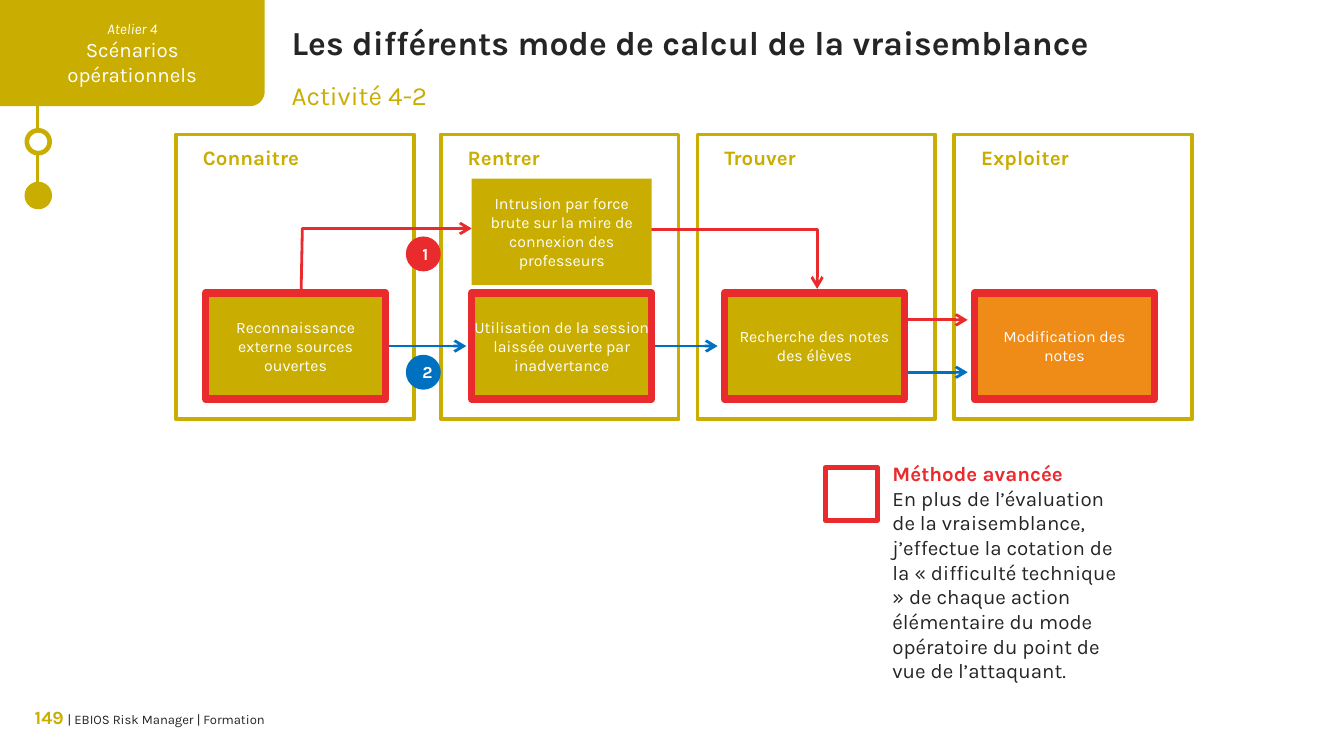
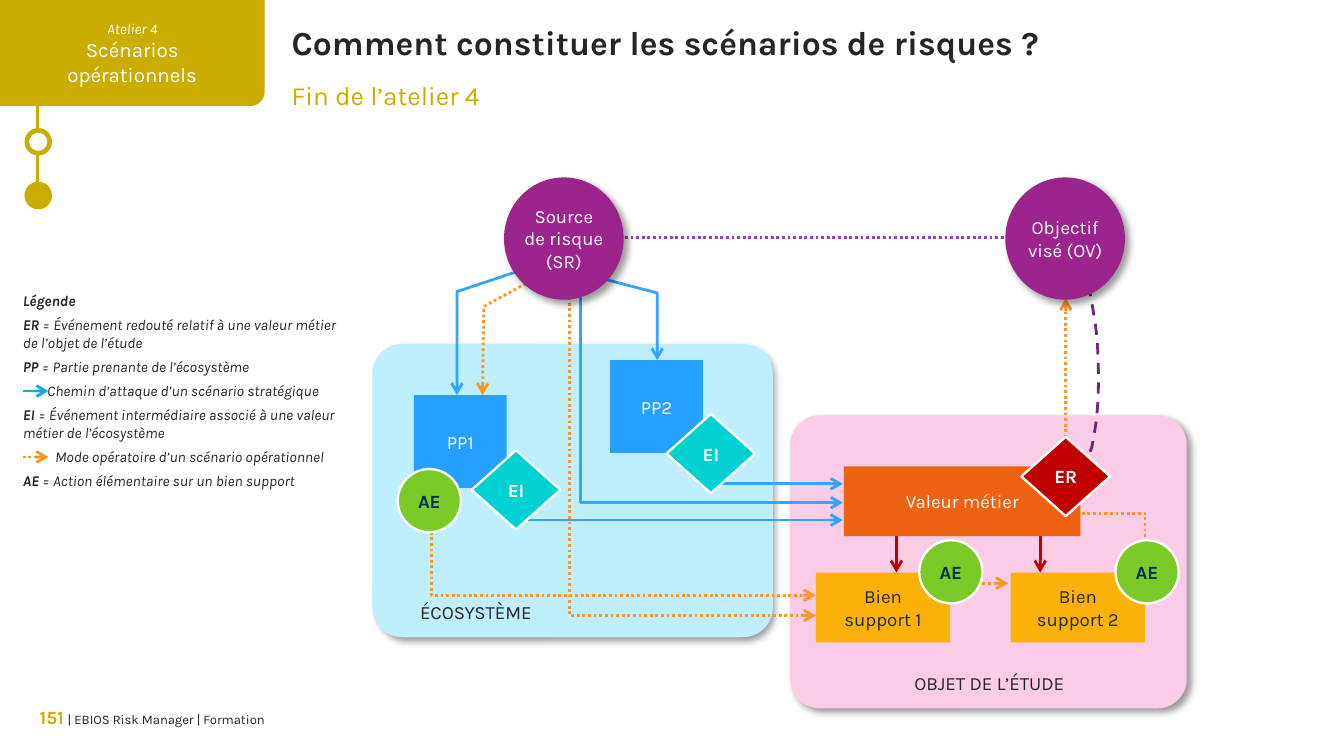
from math import cos, radians, sin

from lxml import etree
from pptx import Presentation
from pptx import util as u
from pptx.dml.color import RGBColor
from pptx.enum import dml, shapes, text
from pptx.oxml.ns import qn

COLORS = {
    "olive": "C9AD00", "white": "FFFFFF", "ink": "252525", "red": "EA2B2E",
    "blue": "0070C0", "orange": "EF8B17", "ice": "BFEEFF", "magenta": "E6007E",
    "amber": "FBB208", "rust": "EE6213", "crimson": "C00000", "plum": "9C258C",
    "violet": "923ED2", "aubergine": "6B2A71", "sky": "27A1FF", "route": "32A5FF",
    "cyan": "00B0F0", "teal": "00D1D2", "green": "7CCA28", "navy": "05314E",
    "tangerine": "FC9822", "black": "000000",
}
S = shapes.MSO_SHAPE
DOTS, DASHES = dml.MSO_LINE.ROUND_DOT, dml.MSO_LINE.DASH
LEFT, CENTER, RIGHT = text.PP_ALIGN.LEFT, text.PP_ALIGN.CENTER, text.PP_ALIGN.RIGHT
TOP, MIDDLE = text.MSO_ANCHOR.TOP, text.MSO_ANCHOR.MIDDLE
FLUSH = (0, 0, 0, 0)

deck = Presentation()
deck.slide_width, deck.slide_height = u.Inches(10), u.Inches(5.625)
CELL = deck.slide_width / 100  # square grid, 100 columns across the slide


def write(frame, words, align=CENTER, anchor=MIDDLE, inset=(1, 0.5, 1, 0.5), wrap=True, **font):
    """Fill a frame; a paragraph is a string or a list of (text, font changes)."""
    left, top, right, bottom = (round(CELL * side) for side in inset)
    layout = {"margin_left": left, "margin_top": top, "margin_right": right,
              "margin_bottom": bottom, "vertical_anchor": anchor, "word_wrap": wrap}
    for name, value in layout.items():
        setattr(frame, name, value)
    base = {"name": "Karla", "size": 10, "bold": False, "italic": False, "color": "white"}
    for number, content in enumerate(words):
        paragraph = frame.add_paragraph() if number else frame.paragraphs[0]
        paragraph.alignment = align
        for piece, changes in [(content, {})] if isinstance(content, str) else content:
            look = {**base, **font, **changes}
            look["size"] = u.Pt(look["size"])
            color = RGBColor.from_string(COLORS[look.pop("color")])
            for part, row in enumerate(piece.split("\n")):
                if part:
                    paragraph.add_line_break()
                run = paragraph.add_run()
                run.text = row
                run.font.color.rgb = color
                for name, value in look.items():
                    setattr(run.font, name, value)


def draw(page, kind, where, words=(), fill=None, line=None, arrow=False,
         shadow=False, alpha=None, **style):
    """Draw a preset shape, "text", an open "route" or a closed "outline" in grid cells."""
    tree = page.shapes
    if kind in ("route", "outline"):
        points = [(round(CELL * x), round(CELL * y)) for x, y in where]
        if len(points) == 2:
            item = tree.add_connector(shapes.MSO_CONNECTOR.STRAIGHT, *points[0], *points[1])
        else:
            builder = tree.build_freeform(*points[0])
            builder.add_line_segments(points[1:], close=kind == "outline")
            item = builder.convert_to_shape()
    else:
        place = [round(CELL * value) for value in where]
        item = tree.add_textbox(*place) if kind == "text" else tree.add_shape(kind, *place)
    if words:
        write(item.text_frame, words, **style)
    if kind == "text":
        return item
    if fill:
        item.fill.solid()
        item.fill.fore_color.rgb = RGBColor.from_string(COLORS[fill])
        if alpha:
            tint = item._element.spPr.find(".//" + qn("a:srgbClr"))
            etree.SubElement(tint, qn("a:alpha"), val=str(alpha * 1000))
    elif hasattr(item, "fill"):
        item.fill.background()
    if line:
        color, width, *dash = line
        item.line.color.rgb = RGBColor.from_string(COLORS[color])
        item.line.width = u.Pt(width)
        if dash:
            item.line.dash_style = dash[0]
        if arrow:
            etree.SubElement(item.line._get_or_add_ln(), qn("a:tailEnd"), type="arrow")
    else:
        item.line.fill.background()
    effects = etree.SubElement(item._element.spPr, qn("a:effectLst"))
    if shadow:
        cast = etree.SubElement(effects, qn("a:outerShdw"), blurRad=str(u.Pt(4)),
                                dist=str(u.Pt(3)), dir=str(45 * 60000),
                                algn="tl", rotWithShape="0")
        shade = etree.SubElement(cast, qn("a:srgbClr"), val=COLORS["black"])
        etree.SubElement(shade, qn("a:alpha"), val="40000")
    return item


# Shared frame of both slides
corner = [(18.6 + 1.1 * cos(radians(a)), 6.8 + 1.1 * sin(radians(a))) for a in range(0, 91, 10)]
pages = []
for number, title, subtitle in (
    ("149", "Les différents mode de calcul de la vraisemblance", "Activité 4-2"),
    ("151", "Comment constituer les scénarios de risques ?", "Fin de l’atelier 4"),
):
    page = deck.slides.add_slide(deck.slide_layouts[6])
    pages.append(page)
    draw(page, "route", [(2.8, 6.7), (2.8, 15.4)], line=("olive", 1.25))
    for top, fill in ((9.7, "white"), (13.7, "olive")):
        draw(page, S.OVAL, (2, top, 1.7, 1.7), fill=fill, line=("olive", 2.5))
    draw(page, "outline", [(0, 0), (19.7, 0), *corner, (0, 7.9)],
         [[("Atelier 4", {"size": 8, "italic": True})], "Scénarios", "opérationnels"],
         fill="olive", size=11)
    draw(page, "text", (2, 52.5, 17.7, 2),
         [[(number, {"size": 10, "color": "olive", "bold": True}), (" ", {"size": 9}),
           ("| EBIOS Risk Manager | Formation", {})]],
         align=RIGHT, anchor=TOP, inset=FLUSH, size=7, color="ink")
    draw(page, "text", (21.7, 1.6, 74.8, 3), [title], align=LEFT, anchor=TOP,
         inset=FLUSH, size=18, bold=True, color="ink")
    draw(page, "text", (21.7, 5.9, 70.4, 2.4), [subtitle], align=LEFT, anchor=TOP,
         inset=FLUSH, size=14, color="olive")
likelihood, scenarios = pages

# Slide 1: the four phases and two attack paths
for left, phase in ((13.1, "Connaitre"), (32.8, "Rentrer"), (51.9, "Trouver"), (71, "Exploiter")):
    draw(likelihood, S.RECTANGLE, (left, 10, 17.7, 21.2), [phase], fill="white",
         line=("olive", 2), align=LEFT, anchor=TOP, inset=(2, 0.8, 1.6, 0),
         size=11, bold=True, color="olive")

steps = [
    draw(likelihood, "route", [(start, y), (end, y)], line=(color, 1.5), arrow=True)
    for start, end, y, color in ((28.7, 34.7, 25.75, "blue"), (48.5, 53.4, 25.75, "blue"),
                                 (65.5, 72, 27.7, "blue"), (65.5, 72, 23.8, "red"))
]
for route in ([(22.4, 22), (22.5, 17), (35.1, 17)],
              [(48.3, 17.1), (60.8, 17.1), (60.8, 21.5)]):
    draw(likelihood, "route", route, line=("red", 1.5), arrow=True)

draw(likelihood, S.RECTANGLE, (35.1, 13.3, 13.4, 7.9),
     ["Intrusion par force brute sur la mire de connexion des professeurs"],
     fill="olive", inset=(1, 0.4, 1, 0.4), size=8.5)
actions = [
    draw(likelihood, S.RECTANGLE, (left, 21.8, 13.4, 7.9), [action], fill=fill,
         line=("red", 4), inset=(side, 0.4, side, 0.4), size=8.5)
    for left, action, fill, side in (
        (15.3, "Reconnaissance externe sources ouvertes", "olive", 1),
        (35.1, "Utilisation de la session laissée ouverte par inadvertance", "olive", 0),
        (53.9, "Recherche des notes des élèves", "olive", 1),
        (72.5, "Modification des notes", "orange", 1))
]
for step, action in zip(steps[:2], actions):
    step.begin_connect(action, 3)
for top, label, color in ((17.6, "1", "red"), (26.4, "2", "blue")):
    draw(likelihood, S.OVAL, (30.2, top, 2.6, 2.6), [label], fill=color, size=9, bold=True)

draw(likelihood, S.RECTANGLE, (61.4, 34.8, 3.9, 3.9), line=("red", 2.75))
draw(likelihood, "text", (66.4, 34.3, 17.7, 9.3),
     [[("Méthode avancée", {"bold": True, "color": "red"})],
      "En plus de l’évaluation de la vraisemblance, j’effectue la cotation de la "
      "« difficulté technique » de chaque action élémentaire du mode opératoire "
      "du point de vue de l’attaquant."],
     align=LEFT, anchor=TOP, inset=FLUSH, size=11, color="ink")

# Slide 2: legend
strong = {"bold": True}
for left, top, entry in (
    (1.7, 21.7, [("Légende", strong)]),
    (1.7, 23.5, [("ER", strong),
                 (" = Événement redouté relatif à une valeur métier de l’objet de l’étude", {})]),
    (1.7, 26.6, [("PP ", strong), ("= Partie prenante de l’écosystème", {})]),
    (3.5, 28.4, [("Chemin d’attaque d’un scénario stratégique", {})]),
    (1.7, 30.2, [("EI ", strong),
                 ("= Événement intermédiaire associé à une valeur métier de l’écosystème", {})]),
    (4.1, 33.3, [("Mode opératoire d’un scénario opérationnel", {})]),
    (1.7, 35.1, [("AE", strong), (" = Action élémentaire sur un bien support", {})]),
):
    draw(scenarios, "text", (left, top, 23.8, 1.3), [entry], align=LEFT, anchor=TOP,
         inset=FLUSH, size=8, italic=True, color="ink")
attack, operation = ("route", 1.5), ("tangerine", 1.5, DOTS)
for y, line in ((29.1, ("cyan", 1.5)), (34, operation)):
    draw(scenarios, "route", [(1.7, y), (3.6, y)], line=line, arrow=True)

# Slide 2: zones
for base, zone, tint, alpha in (
    ((27.8, 25.6, 29.5, 21.8), (27.7, 25.6, 29.8, 21.8), "ice", None),
    ((58.8, 30.9, 29.5, 21.8), (58.8, 30.9, 29.5, 21.8), "magenta", 20),
):
    backing = draw(scenarios, S.ROUNDED_RECTANGLE, base, fill="white", shadow=True)
    cover = draw(scenarios, S.ROUNDED_RECTANGLE, zone, fill=tint, alpha=alpha)
    backing.adjustments[0] = cover.adjustments[0] = 0.1
for place, zone_name in (((29.2, 44.2, 12.4, 2.7), "ÉCOSYSTÈME"),
                         ((66.7, 49.7, 13.8, 2.3), "OBJET DE L’ÉTUDE")):
    draw(scenarios, "text", place, [zone_name], inset=FLUSH, color="ink")

# Slide 2: assets, stakeholders and the routes between them
for left, asset in ((60.7, ["Bien", "support 1"]), (75.2, ["Bien\nsupport 2"])):
    draw(scenarios, S.RECTANGLE, (left, 42.6, 10, 5.2), asset, fill="amber",
         wrap=False, color="ink")
for x in (66.7, 77.4):
    draw(scenarios, "route", [(x, 35.8), (x, 42.6)], line=("crimson", 1.5), arrow=True)
draw(scenarios, S.RECTANGLE, (62.8, 34.7, 17.6, 5.2), ["Valeur métier"], fill="rust")
for left, top, partner in ((30.8, 29.4, "PP1"), (45.4, 26.8, "PP2")):
    draw(scenarios, S.RECTANGLE, (left, top, 6.9, 6.9), [partner], fill="sky")

bends = (((80.2, 34.7), (81, 34.3), (81.2, 33.7), (81.4, 32.4)),
         ((81.4, 32.4), (81.7, 31.1), (81.8, 28.5), (81.7, 26.7)),
         ((81.7, 26.7), (81.7, 25), (81.4, 23.4), (81.1, 21.8)))
arc = [tuple((1 - t) ** 3 * a + 3 * t * (1 - t) ** 2 * b + 3 * t * t * (1 - t) * c + t ** 3 * d
             for a, b, c, d in zip(*bend))
       for bend in bends for t in (0, 0.25, 0.5, 0.75, 1)]
draw(scenarios, "route", arc, line=("aubergine", 1.5, DASHES))
draw(scenarios, "route", [(46.5, 17.7), (74.8, 17.7)], line=("violet", 1.5, DOTS))

for route, line in (
    ([(43.2, 20.3), (48.9, 21.8), (48.9, 26.8)], attack),
    ([(41.2, 19.3), (34, 21.7), (34, 29.4)], attack),
    ([(43.2, 21.9), (43.2, 37.4), (62.7, 37.4)], attack),
    ([(39.2, 38.7), (62.7, 38.7)], attack),
    ([(52.6, 36), (62.7, 36)], attack),
    ([(32.1, 37.9), (32.1, 44.3), (60.7, 44.3)], operation),
    ([(42.4, 21.7), (42.4, 45.8), (60.7, 45.8)], operation),
    ([(39.5, 20.9), (36, 22.8), (35.9, 29.4)], operation),
    ([(71, 43.4), (75, 43.4)], operation),
    ([(79.3, 35.5), (79.3, 22.2)], operation),
):
    draw(scenarios, "route", route, line=line, arrow=True)
draw(scenarios, "route", [(80.5, 38.2), (85.2, 38.2), (85.2, 40.8)], line=operation)

# Slide 2: actors and events on top
for left, actor in ((37.5, "Source\nde risque (SR)"), (74.8, "Objectif\nvisé (OV)")):
    draw(scenarios, S.OVAL, (left, 13.2, 8.9, 9.1), [actor], fill="plum",
         shadow=True, inset=FLUSH)
for left, top, event, color in ((35.1, 33.5, "EI", "teal"), (49.6, 30.8, "EI", "teal"),
                                (76, 32.5, "ER", "crimson")):
    draw(scenarios, S.DIAMOND, (left, top, 6.6, 5.9), [event], fill=color,
         line=("white", 1.25), inset=FLUSH, bold=True)
for left, top in ((29.6, 34.9), (68.4, 40.2), (83, 40.2)):
    draw(scenarios, S.OVAL, (left, top, 4.7, 4.7), ["AE"], fill="green",
         line=("white", 1.25), wrap=False, bold=True, color="navy")

deck.save("out.pptx")
